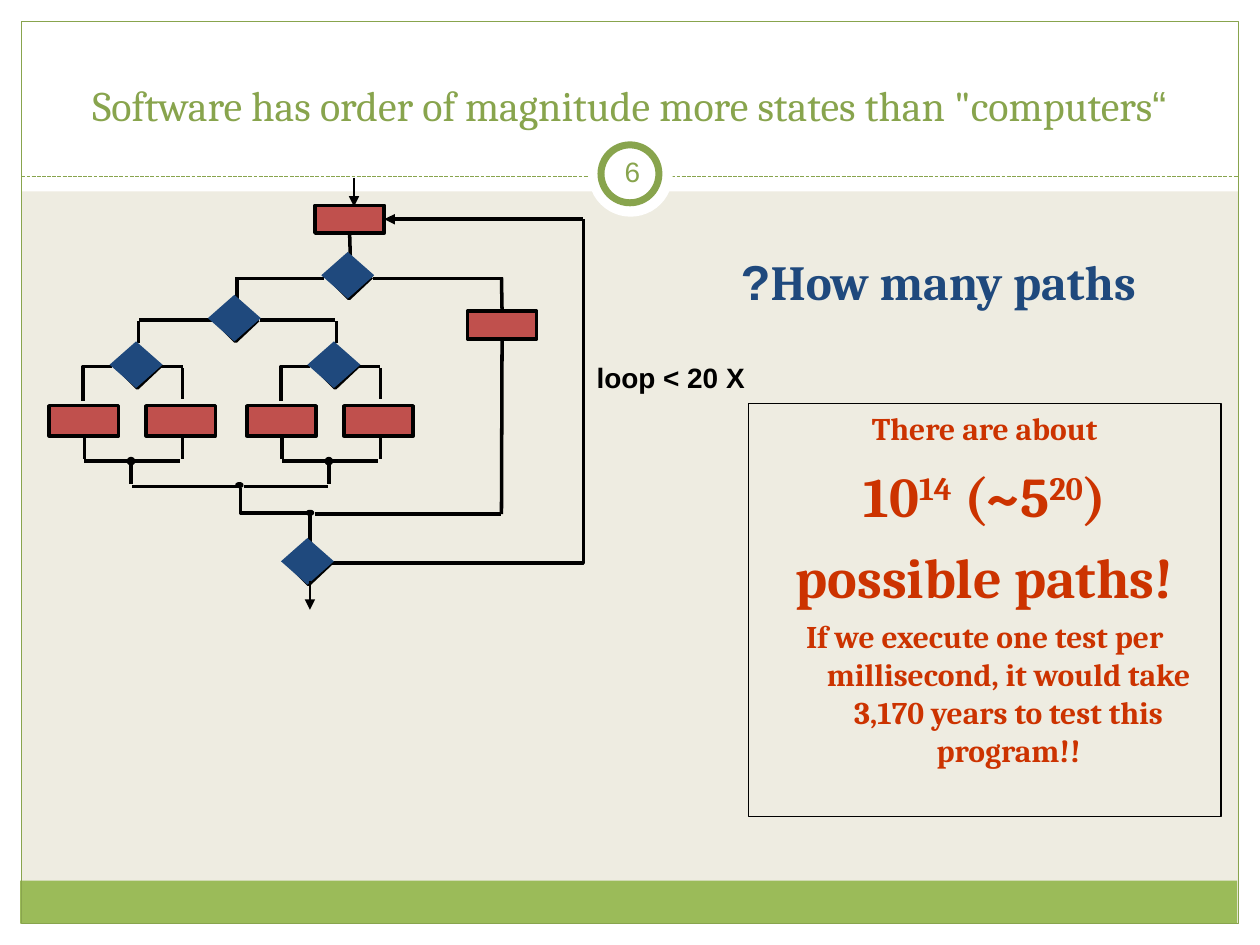
"""Build a slide on how many paths a small looping program has."""
from dataclasses import dataclass

from lxml import etree
from pptx import Presentation
from pptx.dml.color import RGBColor
from pptx.enum.dml import MSO_LINE
from pptx.enum.shapes import MSO_CONNECTOR, MSO_SHAPE
from pptx.enum.text import MSO_ANCHOR, MSO_AUTO_SIZE, PP_ALIGN
from pptx.oxml.ns import qn
from pptx.util import Inches, Pt

RECT, OVAL, DIAMOND = MSO_SHAPE.RECTANGLE, MSO_SHAPE.OVAL, MSO_SHAPE.DIAMOND
LEFT, CENTER, RIGHT = PP_ALIGN.LEFT, PP_ALIGN.CENTER, PP_ALIGN.RIGHT
TOP, MIDDLE, BOTTOM = MSO_ANCHOR.TOP, MSO_ANCHOR.MIDDLE, MSO_ANCHOR.BOTTOM
STRAIGHT, DASH, GROW = MSO_CONNECTOR.STRAIGHT, MSO_LINE.SQUARE_DOT, MSO_AUTO_SIZE.SHAPE_TO_FIT_TEXT
TOP_SIDE, BOTTOM_SIDE, RIGHT_SIDE = 0, 2, 3
BLACK, WHITE, GREEN, LIME = "000000", "FFFFFF", "88A44D", "9BBB59"
NAVY, RED, RUST, CREAM = "1F497D", "C0504D", "CC3300", "EEECE1"
HANG = 0.38

Point = tuple[float, float]
Area = tuple[float, float, float, float]


@dataclass
class Line:
    """One paragraph; spans at odd positions are superscripts."""
    spans: tuple[str, ...]
    size: int
    color: str
    font: str = "Cambria"
    bold: bool = False
    align: PP_ALIGN = CENTER
    rtl: bool = False
    hanging: bool = False
    before: float = 0


def rgb(value: str) -> RGBColor:
    """Turn a hex string into a colour."""
    return RGBColor.from_string(value)


def paint(shape, fill: str | None, line: str | None, width: float) -> None:
    """Set fill and outline, and drop the shadow."""
    shape.shadow.inherit = False
    if fill:
        shape.fill.solid()
        shape.fill.fore_color.rgb = rgb(fill)
    else:
        shape.fill.background()
    if line:
        shape.line.color.rgb = rgb(line)
        shape.line.width = Pt(width)
    else:
        shape.line.fill.background()


def add_block(shapes, kind, area: Area, fill=None, line=None, width: float = 2):
    """Add a preset shape."""
    shape = shapes.add_shape(kind, *map(Inches, area))
    paint(shape, fill, line, width)
    return shape


def add_wire(shapes, start: Point, end: Point, color=BLACK, width: float = 2, arrow=None):
    """Add a straight line; arrow is headEnd or tailEnd."""
    wire = shapes.add_connector(STRAIGHT, *map(Inches, (*start, *end)))
    wire.line.color.rgb = rgb(color)
    wire.line.width = Pt(width)
    if arrow:
        etree.SubElement(wire.line._get_or_add_ln(), qn(f"a:{arrow}"), type="triangle")
    etree.SubElement(wire._element.spPr, qn("a:effectLst"))
    return wire


def add_path(shapes, *points: Point) -> None:
    """Add an open black polyline."""
    corners = [(Inches(x), Inches(y)) for x, y in points]
    builder = shapes.build_freeform(*corners[0])
    builder.add_line_segments(corners[1:], close=False)
    paint(builder.convert_to_shape(), None, BLACK, 2)


def add_decision(shapes, x: float, y: float) -> None:
    """Add a diamond over its black edges."""
    for tip in (0.04, 0.37):
        add_path(shapes, (x + 0.05, y + 0.2), (x + 0.22, y + tip), (x + 0.4, y + 0.2))
    add_block(shapes, DIAMOND, (x, y, 0.42, 0.37), NAVY)


def add_subtree(shapes, x: float) -> None:
    """Add a decision with two steps whose branches merge again."""
    add_wire(shapes, (x + 0.23, 2.55), (x + 0.23, 2.72))
    add_path(shapes, (x + 0.02, 2.91), (x - 0.21, 2.91), (x - 0.21, 3.18))
    add_wire(shapes, (x + 0.4, 2.91), (x + 0.58, 2.91))
    add_wire(shapes, (x + 0.58, 2.92), (x + 0.58, 3.17))
    for step_x, stub_x in ((x - 0.48, x - 0.2), (x + 0.29, x + 0.58)):
        add_block(shapes, RECT, (step_x, 3.22, 0.55, 0.24), RED, BLACK)
        add_wire(shapes, (stub_x, 3.48), (stub_x, 3.64))
    add_wire(shapes, (x - 0.2, 3.66), (x + 0.56, 3.66))
    add_block(shapes, OVAL, (x + 0.15, 3.64, 0.04, 0.04), BLACK, BLACK)
    add_wire(shapes, (x + 0.17, 3.66), (x + 0.17, 3.84))
    add_decision(shapes, x, 2.71)


def write(shape, lines: list[Line], anchor=TOP, inset: float = 0.1, wrap: bool = True) -> None:
    """Fill a shape with paragraphs."""
    frame = shape.text_frame
    frame.word_wrap = wrap
    frame.vertical_anchor = anchor
    frame.margin_left = frame.margin_right = Inches(inset)
    if not wrap:
        frame.auto_size = GROW
    for index, line in enumerate(lines):
        para = frame.add_paragraph() if index else frame.paragraphs[0]
        para.alignment = line.align
        para.space_before = Pt(line.before)
        properties = para._p.get_or_add_pPr()
        if line.rtl:
            properties.set("rtl", "1")
        if line.hanging:
            properties.set("marL", str(Inches(HANG)))
            properties.set("indent", str(-Inches(HANG)))
        para.font.name, para.font.size, para.font.bold = line.font, Pt(line.size), line.bold
        para.font.color.rgb = rgb(line.color)
        if line.rtl:
            etree.SubElement(properties.find(qn("a:defRPr")), qn("a:cs"), typeface="Arial")
        for position, words in enumerate(line.spans):
            span = para.add_run()
            span.text = words
            if position % 2:
                span._r.get_or_add_rPr().set("baseline", "30000")


def add_label(shapes, area: Area, line: Line, **layout) -> None:
    """Add a one-line text box."""
    write(shapes.add_textbox(*map(Inches, area)), [line], **layout)


def add_frame(shapes) -> None:
    """Draw the page border, header rule and number badge."""
    for area in ((0, 7.33, 10, 0.17), (0, 0, 10, 1.52), (0, 0, 0.17, 7.5), (9.83, 0, 0.17, 7.5)):
        add_block(shapes, RECT, area, WHITE)
    add_block(shapes, RECT, (0.16, 6.99, 9.66, 0.34), LIME)
    add_block(shapes, RECT, (0.17, 0.17, 9.66, 7.16), None, GREEN, 0.75)
    add_wire(shapes, (0.17, 1.4), (9.83, 1.4), GREEN, 0.75).line.dash_style = DASH
    add_block(shapes, OVAL, (4.67, 1.05, 0.67, 0.67), WHITE)
    add_block(shapes, OVAL, (4.77, 1.15, 0.46, 0.46), WHITE, GREEN, 4)


def add_flowchart(shapes) -> None:
    """Draw the looping program."""
    first_step = add_block(shapes, RECT, (2.5, 1.63, 0.55, 0.22), RED, BLACK)
    side_step = add_block(shapes, RECT, (3.71, 2.47, 0.55, 0.22), RED, BLACK)
    add_wire(shapes, (3.05, 1.74), (4.63, 1.74), arrow="headEnd").begin_connect(first_step, RIGHT_SIDE)
    add_wire(shapes, (2.78, 1.85), (2.78, 2.03)).begin_connect(first_step, BOTTOM_SIDE)
    add_wire(shapes, (3.98, 2.2), (3.98, 2.47)).end_connect(side_step, TOP_SIDE)
    add_wire(shapes, (3.98, 2.69), (3.98, 4.08)).begin_connect(side_step, BOTTOM_SIDE)
    for start, end in (
        ((2.57, 2.21), (1.88, 2.21)), ((2.96, 2.21), (3.98, 2.21)), ((1.88, 2.37), (1.88, 2.2)),
        ((1.7, 2.54), (1.1, 2.54)), ((2.06, 2.54), (2.66, 2.54)), ((2.6, 3.86), (1.94, 3.86)),
        ((1.05, 3.86), (1.9, 3.86)), ((2.5, 4.08), (3.98, 4.08)), ((2.46, 4.3), (2.46, 4.07)),
    ):
        add_wire(shapes, start, end)
    add_path(shapes, (1.91, 3.87), (1.91, 4.07), (2.45, 4.07))
    add_path(shapes, (2.63, 4.47), (4.63, 4.47), (4.63, 1.74))
    for x, y in ((1.88, 3.84), (2.44, 4.06)):
        add_block(shapes, OVAL, (x, y, 0.04, 0.02), BLACK, BLACK)
    for x in (0.87, 2.44):
        add_subtree(shapes, x)
    for x, y in ((2.55, 2), (1.65, 2.34), (2.23, 4.27)):
        add_decision(shapes, x, y)
    for x, y in ((2.81, 1.41), (2.46, 4.61)):
        add_wire(shapes, (x, y), (x, y + 0.23), width=1.5, arrow="tailEnd")
    add_label(shapes, (4.63, 2.81, 1.38, 0.36),
              Line(("loop < 20 X",), 16, BLACK, "Arial", True, RIGHT, True), wrap=False)


def main() -> None:
    """Build and save the deck."""
    deck = Presentation()
    deck.slide_width, deck.slide_height = Inches(10), Inches(7.5)
    page = deck.slides.add_slide(deck.slide_layouts[6])
    page.background.fill.solid()
    page.background.fill.fore_color.rgb = rgb(CREAM)
    shapes = page.shapes
    add_frame(shapes)
    add_label(shapes, (0.33, 0.25, 9.33, 0.83),
              Line(("“Software has order of magnitude more states than \"computers",), 24, GREEN, rtl=True),
              anchor=BOTTOM)
    add_label(shapes, (4.77, 1.12, 0.5, 0.48), Line(("6",), 16, GREEN, rtl=True),
              anchor=MIDDLE, inset=0.05)
    add_flowchart(shapes)
    add_label(shapes, (5.78, 1.95, 3.98, 0.58),
              Line(("How many paths?",), 28, NAVY, bold=True, align=LEFT, rtl=True, hanging=True))
    answer = add_block(shapes, RECT, (5.94, 3.2, 3.75, 3.28), None, BLACK, 0.75)
    rust = {"color": RUST, "bold": True, "hanging": True}
    write(answer, [
        Line(("There are about",), 18, **rust),
        Line(("10", "14", " (~5", "20", ")"), 32, before=8, **rust),
        Line(("possible paths!",), 32, before=8, **rust),
        Line(("If we execute one test per millisecond, it would take 3,170 years to test this program!!",),
             18, before=4.5, **rust),
    ])
    deck.save("out.pptx")


if __name__ == "__main__":
    main()
